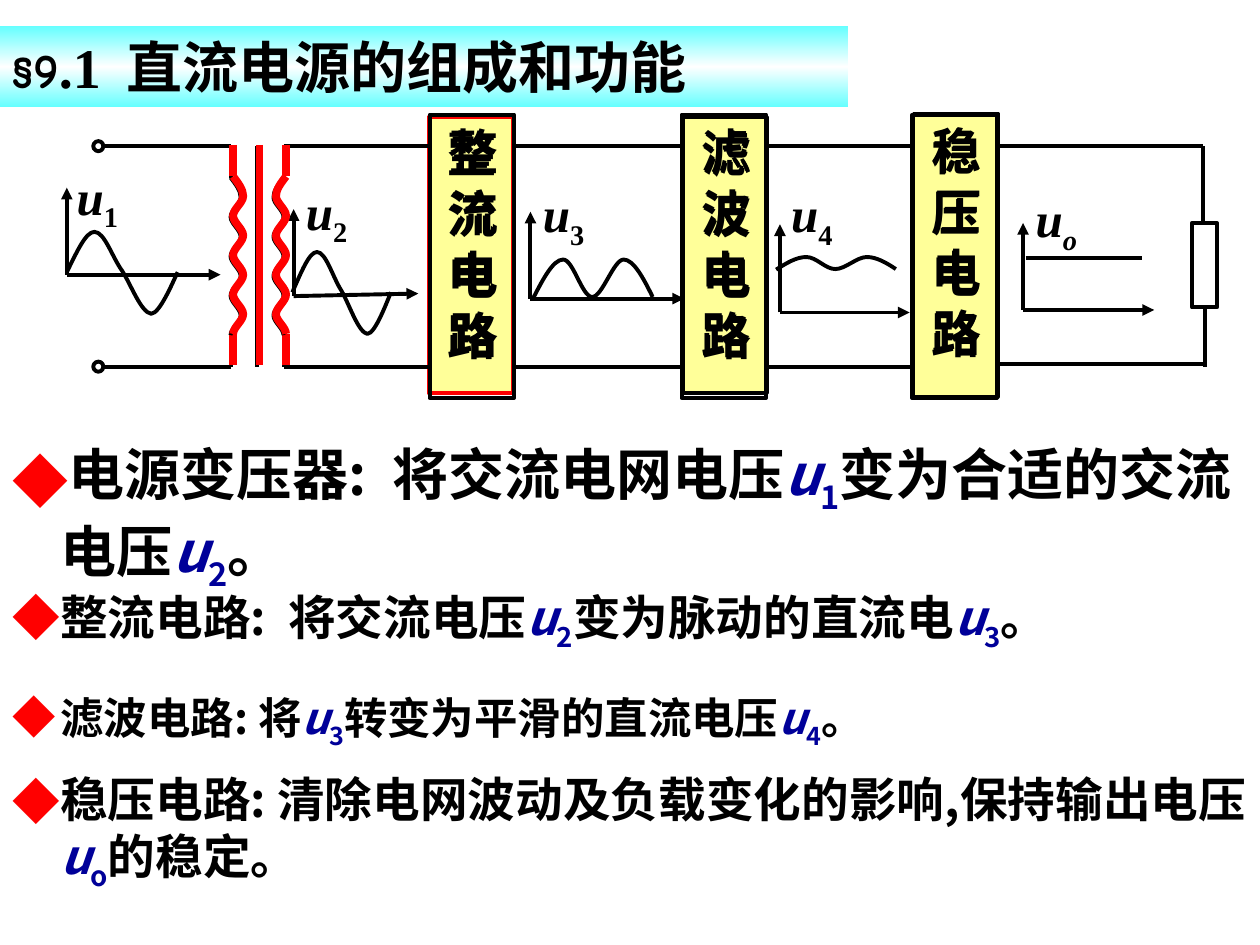
import copy
import pptx
import pptx.dml.color
import pptx.enum.shapes
import pptx.enum.text
import pptx.oxml.ns
import pptx.util
from lxml import etree

Inches = pptx.util.Inches
Pt = pptx.util.Pt
qn = pptx.oxml.ns.qn
SHAPE = pptx.enum.shapes.MSO_SHAPE
SANS, SERIF = "Noto Sans CJK SC", "Times New Roman"


def paint(fill, color):
    fill.solid()
    fill.fore_color.rgb = pptx.dml.color.RGBColor.from_string(color)


def write(para, pieces):
    for text, size, face, color, italic, lowered in pieces:
        span = para.add_run()
        span.text = text
        span.font.size = Pt(size)
        span.font.name = face
        span.font.bold = True
        span.font.italic = italic
        paint(span.font.fill, color)
        props = span.font._element
        etree.SubElement(props, qn("a:ea")).set("typeface", SANS)
        if lowered:
            props.set("baseline", "-25000")


deck = pptx.Presentation()
deck.slide_width, deck.slide_height = Inches(10), Inches(7.5)
page = deck.slides.add_slide(deck.slide_layouts[6])
shapes = page.shapes

title = shapes.add_shape(SHAPE.RECTANGLE, Inches(0), Inches(0.21), Inches(6.73), Inches(0.64))
title.shadow.inherit = False
title.line.fill.background()
title.fill.gradient()
title.fill.gradient_angle = 90
stops = title._element.spPr.find(".//" + qn("a:gsLst"))
stops.insert(1, copy.deepcopy(stops[0]))
for stop, place, color in zip(title.fill.gradient_stops, (0, 0.5, 1), ("66FFFF", "FFFFFF", "66FFFF")):
    stop.position = place
    stop.color.rgb = pptx.dml.color.RGBColor.from_string(color)
title.text_frame.vertical_anchor = pptx.enum.text.MSO_ANCHOR.TOP
title.text_frame.paragraphs[0].alignment = pptx.enum.text.PP_ALIGN.LEFT
write(title.text_frame.paragraphs[0], [
    ("§9", 28, "Comic Neue", "000000", False, False),
    (".1", 32, SERIF, "000000", False, False),
    ("  直流电源的组成和功能", 32, SANS, "000000", False, False),
])

for top, height, size, spacing, text in [
    (3.44, 1.32, 32, 1.0, "电源变压器:  将交流电网电压|u1|变为合适的交流电压|u2|。"),
    (4.62, 0.63, 27.2, 0.9, "整流电路:  将交流电压|u2|变为脉动的直流电|u3|。"),
    (5.48, 0.58, 24.8, 0.8, "滤波电路: 将|u3|转变为平滑的直流电压|u4|。"),
    (6.11, 1.11, 27.2, 0.9, "稳压电路: 清除电网波动及负载变化的影响,保持输出电压|uo|的稳定。"),
]:
    box = shapes.add_textbox(Inches(0), Inches(top), Inches(10), Inches(height))
    box.text_frame.word_wrap = True
    para = box.text_frame.paragraphs[0]
    para.line_spacing = spacing
    props = para._p.get_or_add_pPr()
    props.set("marL", str(Inches(0.38)))
    props.set("indent", str(-Inches(0.38)))
    bullet_color = etree.SubElement(props, qn("a:buClr"))
    etree.SubElement(bullet_color, qn("a:srgbClr")).set("val", "FF0000")
    etree.SubElement(props, qn("a:buFont")).set("typeface", SANS)
    etree.SubElement(props, qn("a:buChar")).set("char", "◆")
    for index, part in enumerate(text.split("|")):
        if index % 2:
            write(para, [(part[0], size, SANS, "000099", True, False),
                         (part[1], size, SANS, "000099", False, True)])
        else:
            write(para, [(part, size, SANS, "000000", False, False)])

for left, top, height, fill, color, weight, text in [
    (3.4, 0.93, 2.19, "FFFF99", "FF0000", 2, "整 流 电 路"),
    (5.42, 0.93, 2.19, "FFFF99", "000000", 2, "滤 波 电 路"),
    (7.25, 0.9, 2.25, "FFFF99", "000000", 2, "稳 压 电 路"),
    (3.41, 0.91, 2.25, None, "000000", 2.25, "整 流 电 路"),
    (5.41, 0.91, 2.25, None, "000000", 2.25, "滤 波 电 路"),
    (7.24, 0.91, 2.25, None, "000000", 2.25, "稳 压 电 路"),
]:
    block = shapes.add_shape(SHAPE.RECTANGLE, Inches(left), Inches(top), Inches(0.67), Inches(height))
    block.shadow.inherit = False
    if fill:
        paint(block.fill, fill)
    else:
        block.fill.background()
    paint(block.line.fill, color)
    block.line.width = Pt(weight)
    frame = block.text_frame
    frame.margin_left = frame.margin_right = Inches(0.05)
    frame.margin_top = frame.margin_bottom = Inches(0.1)
    frame.word_wrap = True
    frame.vertical_anchor = pptx.enum.text.MSO_ANCHOR.MIDDLE
    frame._txBody.bodyPr.set("vert", "eaVert")
    frame.paragraphs[0].alignment = pptx.enum.text.PP_ALIGN.CENTER
    write(frame.paragraphs[0], [(text, 28, SERIF, "000000", False, False)])

for kind, left, top, width, height in [
    (SHAPE.OVAL, 0.74, 1.12, 0.08, 0.08),
    (SHAPE.OVAL, 0.74, 2.87, 0.08, 0.08),
    (SHAPE.RECTANGLE, 9.46, 1.77, 0.2, 0.67),
]:
    part = shapes.add_shape(kind, Inches(left), Inches(top), Inches(width), Inches(height))
    part.shadow.inherit = False
    part.fill.background()
    paint(part.line.fill, "000000")
    part.line.width = Pt(2.25)

wires = [(6.08, 1.16, 7.22, 1.16), (6.08, 2.91, 7.24, 2.91),
         (7.91, 1.16, 9.55, 1.16), (7.93, 2.89, 9.55, 2.89),
         (9.55, 1.16, 9.55, 1.77), (9.56, 2.45, 9.56, 2.91), (8.14, 2.05, 9.06, 2.05)]
for start, end in [(0.83, 1.83), (2.25, 3.41), (4.08, 5.41)]:
    wires += [(start, y, end, y) for y in (1.16, 2.91)]
lines = [(*wire, "000000", 2.25, False) for wire in wires]

curves = []
for x, y, color, weight in [(1.83, 1.16, "000000", 2.25), (1.85, 1.15, "FF0000", 4.5)]:
    for side, bulge in [(x, 0.08), (x + 0.42, -0.08)]:
        lines += [(side, y, side, y + 0.25, color, weight, False),
                  (side, y + 1.75, side, y + 1.5, color, weight, False)]
        step = 1.25 / 8
        coil = [(side, y + 0.25)]
        for turn in range(8):
            near, far = (side, side + bulge) if turn % 2 == 0 else (side + bulge, side)
            start = y + 0.25 + turn * step
            lead = side + bulge / 2 if turn == 0 else near
            coil += [(lead, start + step / 3), (far, start + step * 2 / 3), (far, start + step)]
        curves.append((coil, color, weight))
    lines.append((x + 0.21, y, x + 0.21, y + 1.75, color, weight, False))

for x, y, tip_x, tip_y, top, label_x, label_y, name in [
    (0.53, 2.18, 1.75, 2.18, 1.49, 0.51, 1.27, "u1"),
    (2.33, 2.35, 3.32, 2.33, 1.66, 2.33, 1.39, "u2"),
    (4.21, 2.37, 5.43, 2.37, 1.68, 4.21, 1.41, "u3"),
    (6.19, 2.48, 7.22, 2.48, 1.78, 6.18, 1.41, "u4"),
    (8.12, 2.46, 9.16, 2.46, 1.77, 8.12, 1.45, "uo"),
]:
    lines += [(x, y, x, top, "000000", 2.25, True), (x, y, tip_x, tip_y, "000000", 2.25, True)]
    label = shapes.add_textbox(Inches(label_x), Inches(label_y), Inches(0.61), Inches(0.63))
    label.text_frame.word_wrap = True
    write(label.text_frame.paragraphs[0], [
        (name[0], 28, SERIF, "000000", True, False),
        (name[1], 28, SERIF, "000000", name[1] == "o", True),
    ])

sine = [(0, 0.32), (0.08, 0.16), (0.15, 0), (0.22, 0), (0.3, 0), (0.36, 0.2), (0.44, 0.31),
        (0.51, 0.42), (0.59, 0.64), (0.67, 0.65), (0.74, 0.65), (0.85, 0.38), (0.88, 0.32)]
humps = [(0, 1), (0.08, 0.5), (0.16, 0), (0.24, 0), (0.32, 0), (0.39, 0.96), (0.47, 0.96),
         (0.55, 0.96), (0.64, 0), (0.72, 0), (0.8, 0), (0.88, 0.5), (0.95, 0.96)]
for points, x, y, x_scale, y_scale in [
    (sine, 0.53, 1.84, 1, 1), (sine, 2.32, 2, 0.89, 1),
    (humps, 4.23, 2.06, 1, 0.31), (humps, 6.16, 2.04, 1, 0.1),
]:
    curves.append(([(x + x_scale * dx, y + y_scale * dy) for dx, dy in points], "000000", 2.25))

for x1, y1, x2, y2, color, weight, arrow in lines:
    line = shapes.add_connector(pptx.enum.shapes.MSO_CONNECTOR.STRAIGHT,
                                Inches(x1), Inches(y1), Inches(x2), Inches(y2))
    paint(line.line.fill, color)
    line.line.width = Pt(weight)
    if arrow:
        etree.SubElement(line.line._get_or_add_ln(), qn("a:tailEnd")).set("type", "triangle")
    etree.SubElement(line._element.spPr, qn("a:effectLst"))

for points, color, weight in curves:
    outline = [(Inches(x), Inches(y)) for x, y in points]
    builder = shapes.build_freeform(*outline[0])
    builder.add_line_segments(outline[1:], close=False)
    curve = builder.convert_to_shape()
    curve.shadow.inherit = False
    curve.fill.background()
    paint(curve.line.fill, color)
    curve.line.width = Pt(weight)
    segments = curve._element.spPr.findall(".//" + qn("a:lnTo"))
    for index in range(0, len(segments), 3):
        bezier = etree.SubElement(segments[index].getparent(), qn("a:cubicBezTo"))
        for segment in segments[index:index + 3]:
            bezier.append(segment[0])
            segment.getparent().remove(segment)

deck.save("out.pptx")
